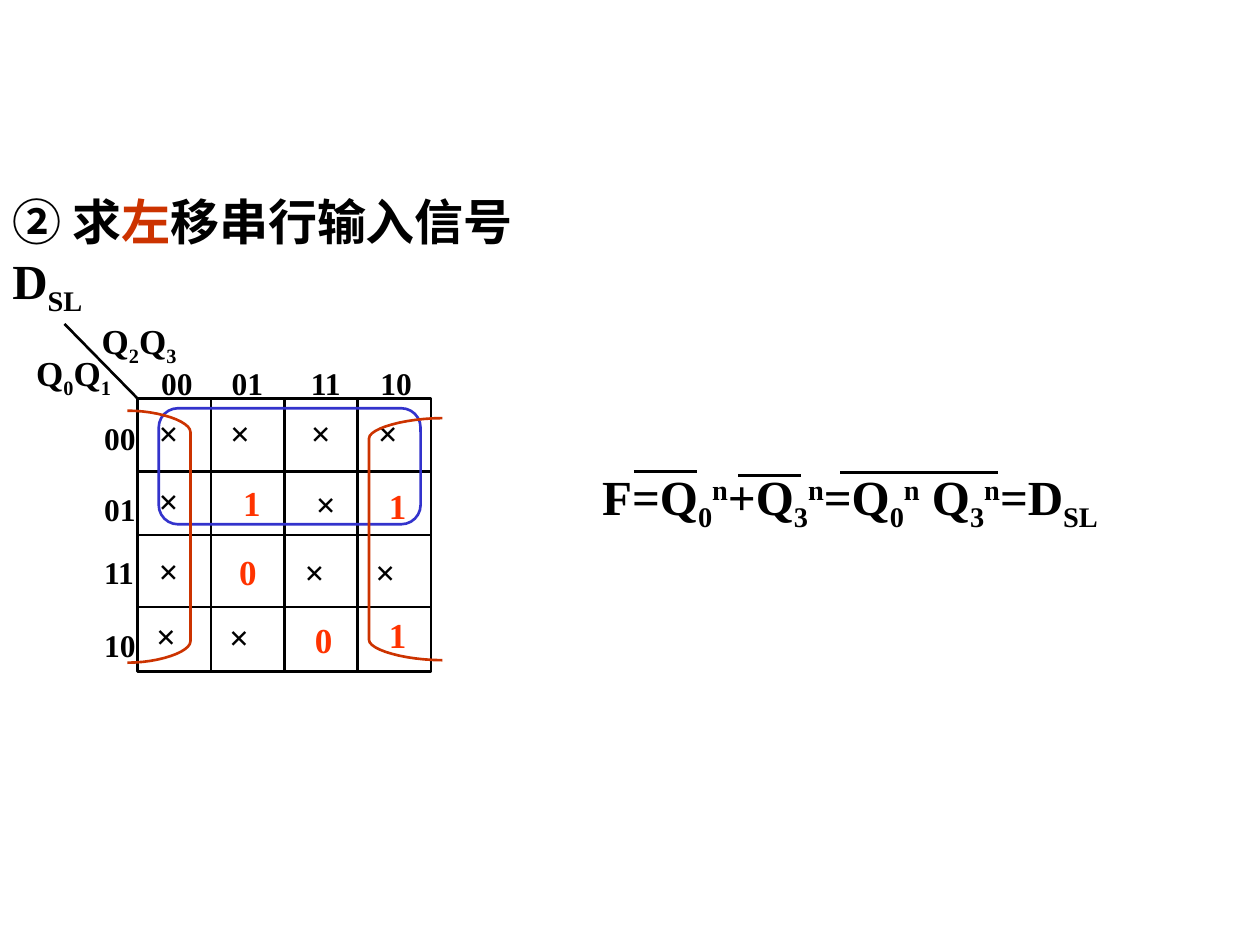
from typing import NamedTuple

from lxml import etree
from pptx import Presentation
from pptx import util as u
from pptx.dml.color import RGBColor
from pptx.enum import shapes, text
from pptx.oxml import ns

FONT = "Times New Roman"
BLACK, RUST, RED, BLUE = "000000", "CC3300", "FF3300", "3333CC"
SUB, SUPER = -25000, 30000


class Run(NamedTuple):
    text: str
    baseline: int = 0
    color: str = BLACK


class Mark(NamedTuple):
    text: str
    x: float
    y: float
    width: float = 1.32


class Bar(NamedTuple):
    x1: float
    x2: float
    y: float


class Loop(NamedTuple):
    outer: float
    inner: float
    top: float
    bottom: float
    corner: float


def rgb(color: str) -> RGBColor:
    return RGBColor.from_string(color)


def add_text(slide, runs, x: float, y: float, w: float, h: float, *, size: int = 20,
             wrap: bool = False, right_inset: float = 0.25, tabs=()) -> None:
    """Write bold runs in a box; tabs are left stops in cm."""
    box = slide.shapes.add_textbox(u.Cm(x), u.Cm(y), u.Cm(w), u.Cm(h))
    frame = box.text_frame
    frame.word_wrap = wrap
    frame.auto_size = text.MSO_AUTO_SIZE.SHAPE_TO_FIT_TEXT
    frame.margin_right = u.Cm(right_inset)
    paragraph = frame.paragraphs[0]
    if tabs:
        stops = etree.SubElement(paragraph._p.get_or_add_pPr(), ns.qn("a:tabLst"))
        for stop in tabs:
            etree.SubElement(stops, ns.qn("a:tab"), pos=str(u.Cm(stop)), algn="l")
    for part in runs:
        run = paragraph.add_run()
        run.text = part.text
        font = run.font
        font.name, font.size, font.bold = FONT, u.Pt(size), True
        font.color.rgb = rgb(part.color)
        if part.baseline:
            run._r.get_or_add_rPr().set("baseline", str(part.baseline))


def outline(shape, color: str) -> None:
    shape.shadow.inherit = False
    shape.fill.background()
    shape.line.color.rgb = rgb(color)
    shape.line.width = u.Pt(1.5)


def add_outline(slide, kind, x: float, y: float, w: float, h: float, color: str = BLACK):
    shape = slide.shapes.add_shape(kind, u.Cm(x), u.Cm(y), u.Cm(w), u.Cm(h))
    outline(shape, color)
    return shape


def add_line(slide, x1: float, y1: float, x2: float, y2: float):
    line = slide.shapes.add_connector(shapes.MSO_CONNECTOR.STRAIGHT,
                                      u.Cm(x1), u.Cm(y1), u.Cm(x2), u.Cm(y2))
    line.line.color.rgb = rgb(BLACK)
    line.line.width = u.Pt(1.5)
    etree.SubElement(line._element.spPr, ns.qn("a:effectLst"))
    return line


def add_loop(slide, loop: Loop, steps: int = 12) -> None:
    """Draw an open bracket whose corners are sampled cubic curves."""
    middle = (loop.outer + loop.inner) / 2
    corner = []
    for i in range(steps + 1):
        t = i / steps
        a, b, c, d = (1 - t) ** 3, 3 * t * (1 - t) ** 2, 3 * t * t * (1 - t), t ** 3
        corner.append((a * loop.outer + b * middle + (c + d) * loop.inner,
                       loop.corner * (c / 2 + d)))
    outer_points = [(x, loop.top + drop) for x, drop in corner]
    outer_points += [(x, loop.bottom - drop) for x, drop in reversed(corner)]
    points = [(u.Cm(x), u.Cm(y)) for x, y in outer_points]
    builder = slide.shapes.build_freeform(*points[0])
    builder.add_line_segments(points[1:], close=False)
    outline(builder.convert_to_shape(), RUST)


def q(index: str, state: bool = False) -> list[Run]:
    runs = [Run("Q"), Run(index, SUB)]
    return runs + [Run("n", SUPER)] if state else runs


# Karnaugh map geometry
LEFT, TOP, WIDTH, HEIGHT = 2.77, 8.03, 5.92, 5.51
RIGHT, BOTTOM = LEFT + WIDTH, TOP + HEIGHT
COLUMN_LINES = [LEFT + WIDTH * i / 4 for i in (1, 2, 3)]
ROW_LINES = [9.50, 10.77, 12.24]
ROW_LABELS = [Mark("00", 1.85, 8.33), Mark("01", 1.85, 9.75),
              Mark("11", 1.85, 11.02), Mark("10", 1.85, 12.50)]
CELLS = [
    Mark("×", 2.95, 8.18), Mark("×", 4.39, 8.18), Mark("×", 6.02, 8.18, 0.91), Mark("×", 7.37, 8.18),
    Mark("×", 2.95, 9.55), Mark("1", 4.65, 9.58, 0.86), Mark("×", 6.12, 9.60, 0.91),
    Mark("1", 7.59, 9.65, 0.86),
    Mark("×", 2.95, 10.95), Mark("0", 4.57, 10.97, 0.86), Mark("×", 5.89, 10.97), Mark("×", 7.32, 10.97),
    Mark("×", 2.90, 12.27), Mark("×", 4.37, 12.29), Mark("0", 6.10, 12.34, 0.86),
    Mark("1", 7.59, 12.24, 0.86),
]
LOOPS = [Loop(8.92, 7.44, 8.43, 13.31, 0.41), Loop(2.57, 3.84, 8.28, 13.36, 0.43)]
NEGATIONS = [Bar(12.78, 14.05, 9.50), Bar(14.88, 16.15, 9.58), Bar(16.94, 20.12, 9.53)]


def draw_map(slide) -> None:
    # Grid
    grid = add_outline(slide, shapes.MSO_SHAPE.RECTANGLE, LEFT, TOP, WIDTH, HEIGHT)
    columns = [add_line(slide, x, TOP, x, BOTTOM) for x in COLUMN_LINES]
    rows = [add_line(slide, LEFT, y, RIGHT, y) for y in ROW_LINES]
    for line, start, end in ((columns[1], 0, 2), (rows[1], 1, 3)):
        line.begin_connect(grid, start)
        line.end_connect(grid, end)

    # Variables and their codes
    add_line(slide, LEFT, TOP, 1.30, 6.53)
    add_text(slide, q("0") + q("1"), 0.48, 6.96, 2.01, 1.22)
    add_text(slide, q("2") + q("3"), 1.80, 6.32, 2.01, 1.22)
    add_text(slide, [Run("00\t01\t11\t10")], 3.00, 7.21, 5.59, 1.02, size=18,
             wrap=True, tabs=(1.42, 3.02, 4.42))
    for label in ROW_LABELS:
        add_text(slide, [Run(label.text)], label.x, label.y, 1.14, 1.02, size=18)

    # Cell values
    for cell in CELLS:
        color = BLACK if cell.text == "×" else RED
        add_text(slide, [Run(cell.text, color=color)], cell.x, cell.y, cell.width, 1.12, wrap=True)

    # Groupings
    add_outline(slide, shapes.MSO_SHAPE.ROUNDED_RECTANGLE, 3.20, 8.23, 5.28, 2.34, BLUE)
    for loop in LOOPS:
        add_loop(slide, loop)


def main() -> None:
    prs = Presentation()
    prs.slide_width, prs.slide_height = u.Cm(25.4), u.Cm(19.05)
    slide = prs.slides.add_slide(prs.slide_layouts[6])

    # Heading
    add_text(slide, [Run("② 求"), Run("左", color=RUST), Run("移串行输入信号D"), Run("SL", SUB)],
             0, 3.73, 12.22, 1.60, size=28, wrap=True, right_inset=1.2)

    draw_map(slide)

    # Resulting expression with negation bars
    expression = [Run("F="), *q("0", True), Run("+"), *q("3", True), Run("="), *q("0", True),
                  Run(" "), *q("3", True), Run("=D"), Run("SL", SUB)]
    add_text(slide, expression, 11.89, 9.27, 10.8, 1.60, size=28, wrap=True, right_inset=0)
    for bar in NEGATIONS:
        add_line(slide, bar.x1, bar.y, bar.x2, bar.y)

    prs.save("out.pptx")


if __name__ == "__main__":
    main()
